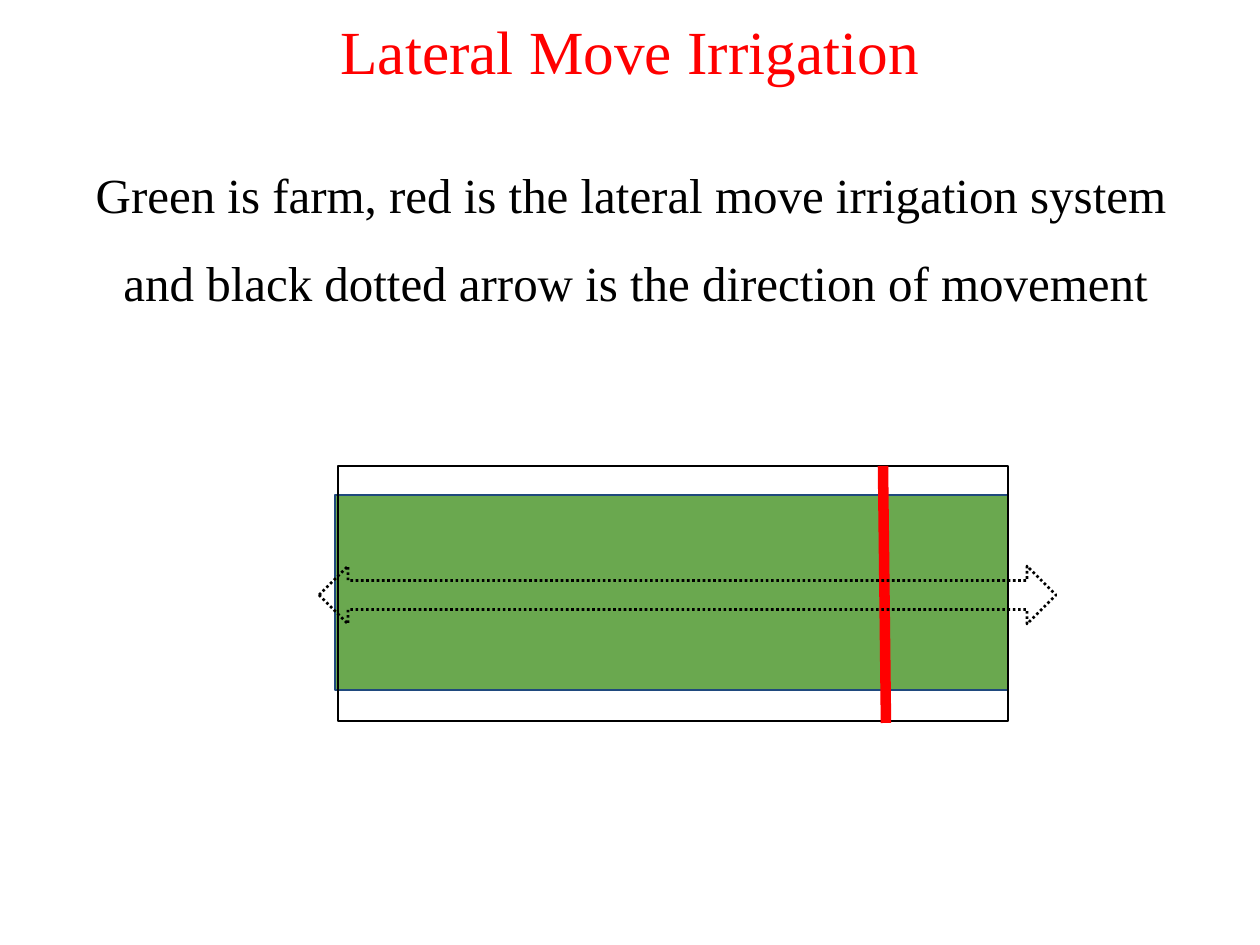
from pptx import Presentation
from pptx import util as u
from pptx.dml.color import RGBColor
from pptx.enum import dml, shapes, text
from pptx.oxml.xmlchemy import OxmlElement

PX = 914400 / 126
FONT = "Times New Roman"
HUES = {"red": "FF0000", "black": "000000", "green": "6AA84F", "blue": "1F497D"}

TITLE = "Lateral Move Irrigation"
BODY = ("Green is farm, red is the lateral move irrigation system "
        "and black dotted arrow is the direction of movement")

# Boxes are left, top, width, height in px
HEAD_BOX = (63, -29, 1134, 158)
BODY_BOX = (63, 129, 1134, 692)
FARM = (335, 495, 673, 195)
FRAME = (338, 466, 670, 255)
PIPE = (883, 466, 886, 723)  # from x, y to x, y
ARROW = (319, 566, 737, 58)


def emu(*nums):
    return [u.Emu(round(n * PX)) for n in nums]


def hue(name):
    return RGBColor.from_string(HUES[name])


def write(holder, box, words, size, color, align, anchor, lead=None, gap=0):
    holder.left, holder.top, holder.width, holder.height = emu(*box)
    frame = holder.text_frame
    frame.text = words
    frame.word_wrap = True
    frame.auto_size = text.MSO_AUTO_SIZE.NONE
    frame.vertical_anchor = anchor
    para = frame.paragraphs[0]
    para.alignment = align
    para.line_spacing = lead
    para.space_before = u.Pt(gap)
    font = para.runs[0].font
    font.name, font.size = FONT, u.Pt(size)
    font.color.rgb = hue(color)
    return para


def stroke(line, color, width, dash=None):
    line.color.rgb = hue(color)
    line.width = u.Pt(width)
    if dash:
        line.dash_style = dash


def draw(slide, kind, box, color, width, fill=None, dash=None):
    shape = slide.shapes.add_shape(kind, *emu(*box))
    shape.shadow.inherit = False
    if fill:
        shape.fill.solid()
        shape.fill.fore_color.rgb = hue(fill)
    else:
        shape.fill.background()
    stroke(shape.line, color, width, dash)
    return shape


def main():
    deck = Presentation()
    deck.slide_width, deck.slide_height = u.Inches(10), u.Inches(7.5)
    slide = deck.slides.add_slide(deck.slide_layouts[1])
    head, body = slide.placeholders

    write(head, HEAD_BOX, TITLE, 35, "red",
          text.PP_ALIGN.CENTER, text.MSO_ANCHOR.MIDDLE)
    para = write(body, BODY_BOX, BODY, 28, "black",
                 text.PP_ALIGN.LEFT, text.MSO_ANCHOR.TOP, lead=1.5, gap=3)
    props = para._p.get_or_add_pPr()
    props.set("marL", str(u.Inches(0.38)))
    props.set("indent", str(u.Inches(-0.22)))
    props.append(OxmlElement("a:buNone"))

    kinds = shapes.MSO_SHAPE
    draw(slide, kinds.RECTANGLE, FARM, "blue", 0.75, fill="green")
    draw(slide, kinds.RECTANGLE, FRAME, "black", 0.75)

    pipe = slide.shapes.add_connector(shapes.MSO_CONNECTOR.STRAIGHT, *emu(*PIPE))
    stroke(pipe.line, "red", 6)
    pipe._element.spPr.append(OxmlElement("a:effectLst"))

    draw(slide, kinds.LEFT_RIGHT_ARROW, ARROW, "black", 1.5,
         dash=dml.MSO_LINE.ROUND_DOT)

    deck.save("out.pptx")


if __name__ == "__main__":
    main()
